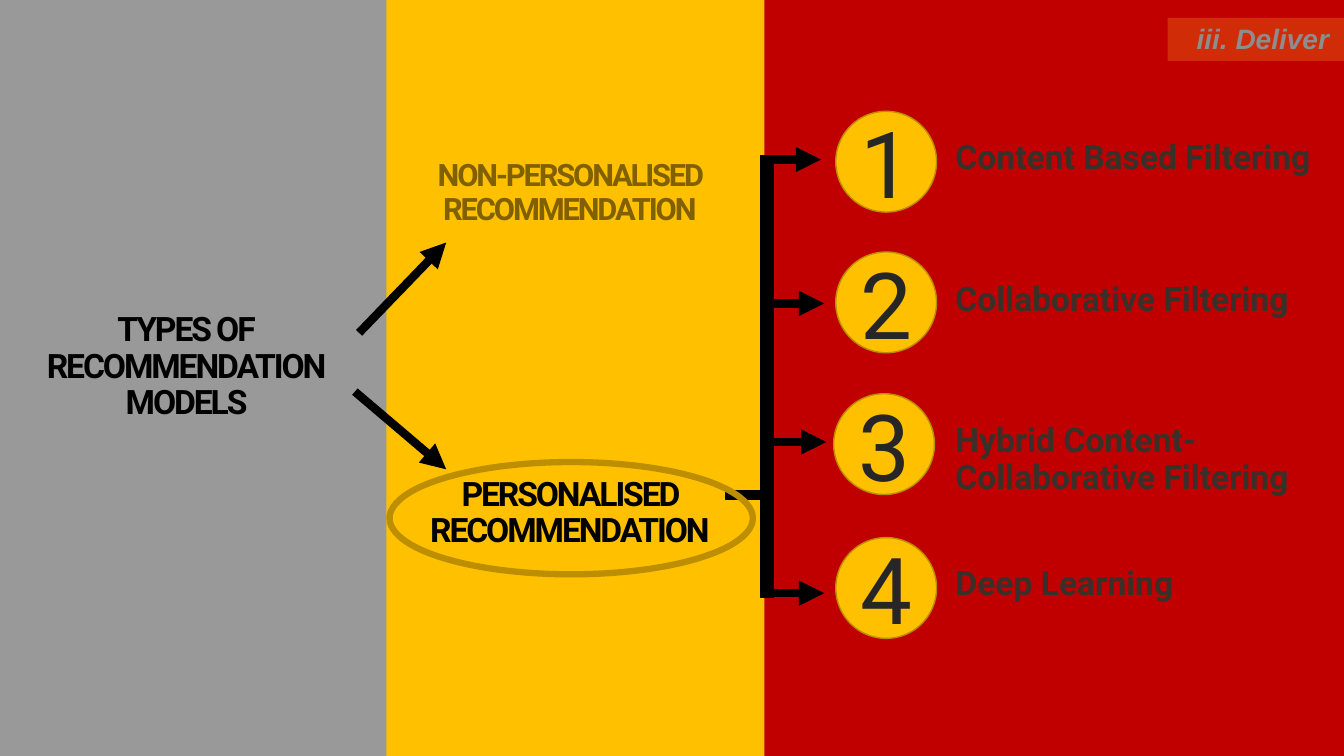
"""Build the slide on types of recommendation models."""
from lxml.etree import SubElement
from pptx import Presentation
from pptx.dml.color import RGBColor as RGB
from pptx.enum.shapes import MSO_CONNECTOR as LINE, MSO_SHAPE as SHAPE
from pptx.enum.text import MSO_ANCHOR as ANCHOR, MSO_AUTO_SIZE as FIT, PP_ALIGN as ALIGN
from pptx.oxml.ns import qn
from pptx.util import Pt

PX = 9525
THEME = {
    "grey": "999999", "red": "C00000", "yellow": "FFC000", "gold": "BD8E00",
    "black": "000000", "olive": "806000", "brown": "39302A", "digit": "262626",
    "orange": "EC7016", "tag": "8D8D8D", "font": "Roboto", "tag_font": "Arial",
    "heading": 24, "muted": 22, "number": 66, "tag_size": 20,
}


def add_block(kind, box, fill=None, line=None, width=1):
    sp = s.shapes.add_shape(kind, *[v * PX for v in box])
    sp.shadow.inherit = False
    if fill:
        sp.fill.solid()
        sp.fill.fore_color.rgb = RGB.from_string(THEME[fill])
    else:
        sp.fill.background()
    if line:
        sp.line.color.rgb = RGB.from_string(THEME[line])
        sp.line.width = Pt(width)
    else:
        sp.line.fill.background()
    return sp


def write(sp, text, size, color, align=ALIGN.CENTER, anchor=ANCHOR.TOP,
          left=10, spacing=0.9, tracking=0, bold=True, font="font"):
    tf = sp.text_frame
    tf.word_wrap = True
    tf.auto_size = FIT.NONE
    tf.vertical_anchor = anchor
    tf.margin_left = left * PX
    tf.text = text
    p = tf.paragraphs[0]
    p.alignment = align
    p.line_spacing = spacing
    p.space_before = Pt(0)
    p.font.name = THEME[font]
    p.font.size = Pt(THEME[size])
    p.font.bold = bold
    p.font.color.rgb = RGB.from_string(THEME[color])
    if tracking:
        for r in p.runs:
            r._r.get_or_add_rPr().set("spc", str(tracking))
    return p


prs = Presentation()
prs.slide_width, prs.slide_height = 1280 * PX, 720 * PX
s = prs.slides.add_slide(prs.slide_layouts[5])
s.background.fill.solid()
s.background.fill.fore_color.rgb = RGB.from_string(THEME["grey"])

add_block(SHAPE.RECTANGLE, (686, 0, 594, 720), "red")
add_block(SHAPE.RECTANGLE, (368, 0, 360, 720), "yellow")

title = s.shapes.title
title.left, title.top, title.width, title.height = [v * PX for v in (-11, 293, 387, 311)]
write(title, "TYPES OF\vRECOMMENDATION\vMODELS", "heading", "black", left=0, tracking=-150)
s.shapes._spTree.append(title._element)

for text, top, size, color in [
    ("NON-PERSONALISED RECOMMENDATION", 148, "muted", "olive"),
    ("PERSONALISED RECOMMENDATION", 450, "heading", "black"),
]:
    sp = s.shapes.add_textbox(354 * PX, top * PX, 387 * PX, 84 * PX)
    write(sp, text, size, color, left=0, tracking=-150)

tag = add_block(SHAPE.RECTANGLE, (1112, 17, 168, 41), "orange")
SubElement(tag.fill._xPr.find(qn("a:solidFill"))[0], qn("a:alpha"), val="40000")
p = write(tag, "iii. Deliver", "tag_size", "tag", anchor=ANCHOR.BOTTOM, left=23, font="tag_font")
p.font.italic = True

add_block(SHAPE.RECTANGLE, (725, 148, 12, 421), "black", "black")
add_block(SHAPE.RECTANGLE, (691, 467, 41, 9), "black", "black")
add_block(SHAPE.OVAL, (371, 440, 346, 107), None, "gold", 4.5)

arrows = [(342, 317, 425, 231), (338, 373, 425, 447)]
models = [
    ("Content Based Filtering", 796, 106, 732, 782, 152),
    ("Collaborative Filtering", 796, 240, 735, 785, 289),
    ("Hybrid Content-Collaborative Filtering", 794, 375, 737, 787, 421),
    ("Deep Learning", 796, 512, 737, 785, 565),
]
for i, (text, left, top, start, end, y) in enumerate(models):
    sp = s.shapes.add_textbox(900 * PX, (129 + i * 406 // 3) * PX, 418 * PX, 77 * PX)
    write(sp, text, "heading", "brown", ALIGN.LEFT)
    circle = add_block(SHAPE.OVAL, (left, top, 96, 96), "yellow", "gold")
    write(circle, str(i + 1), "number", "digit", anchor=ANCHOR.MIDDLE, spacing=1.0, bold=False)
    arrows.append((start, y, end, y))

for ends in arrows:
    arrow = s.shapes.add_connector(LINE.STRAIGHT, *[v * PX for v in ends])
    arrow.line.color.rgb = RGB.from_string(THEME["black"])
    arrow.line.width = Pt(6)
    SubElement(arrow.line._get_or_add_ln(), qn("a:tailEnd"), type="triangle")
    SubElement(arrow._element.spPr, qn("a:effectLst"))

prs.save("out.pptx")
